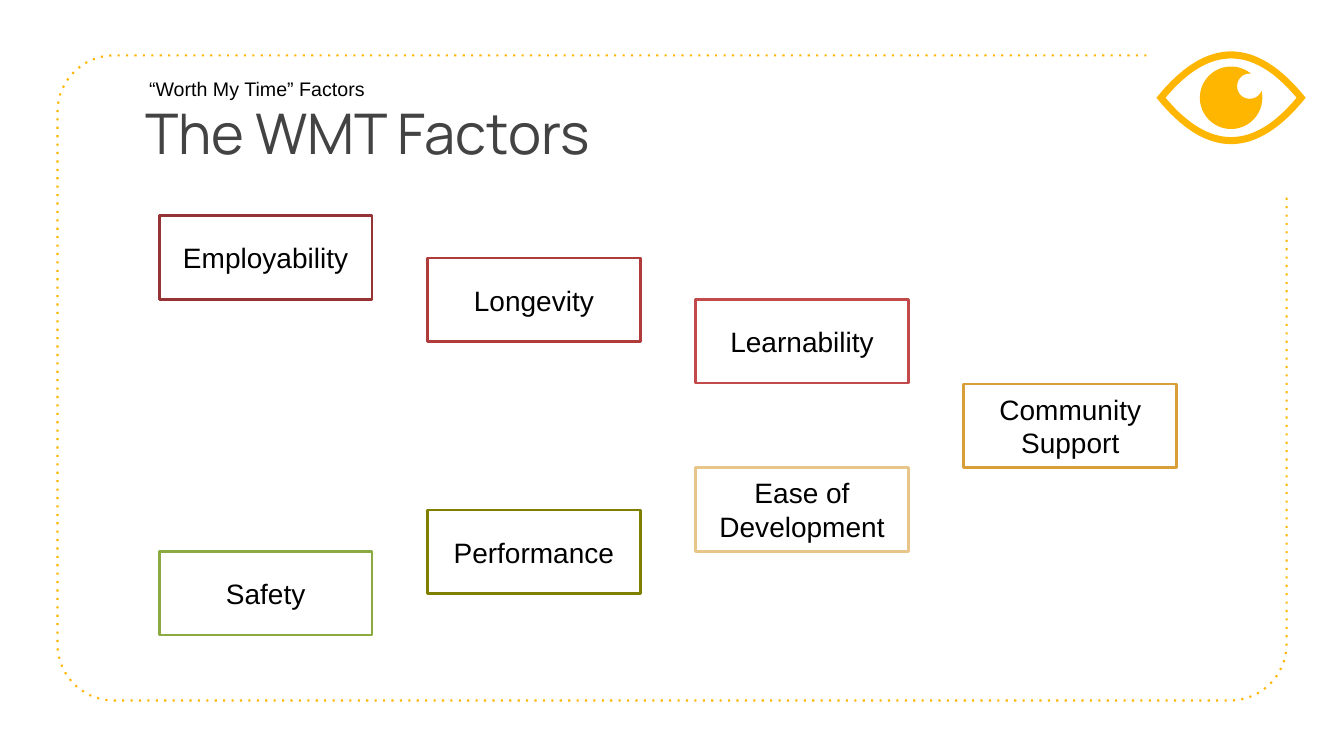
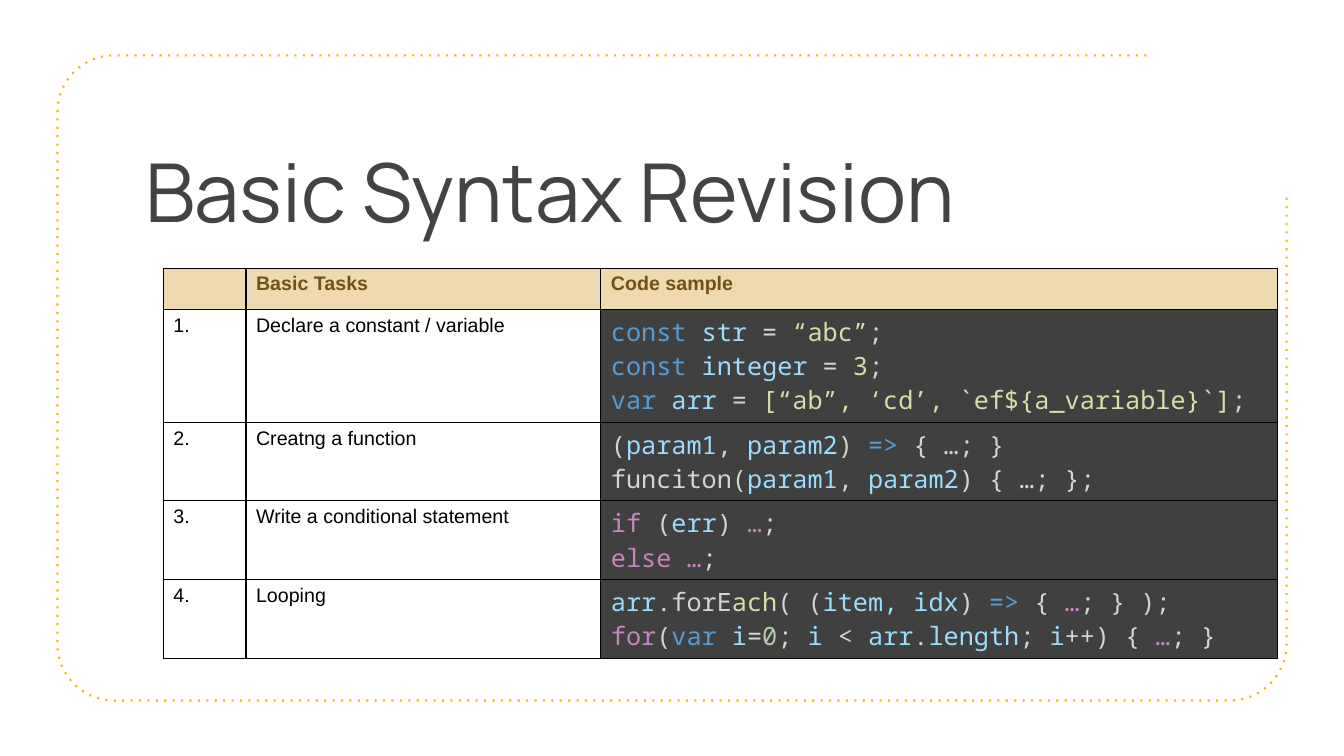
"""Build two slides on learning a language: a map of factors and a syntax table."""
from dataclasses import dataclass
from math import cos, radians, sin

from lxml import etree
from pptx import Presentation
from pptx import util as u
from pptx.dml.color import RGBColor
from pptx.enum import shapes, text
from pptx.oxml.ns import qn


@dataclass(frozen=True)
class Theme:
    amber: str = "FFB600"
    white: str = "FFFFFF"
    ink: str = "000000"
    title: str = "434343"
    head_fill: str = "EFD9B0"
    head_text: str = "725116"
    code_fill: str = "404040"
    keyword: str = "569CD6"
    name: str = "9CDCFE"
    plain: str = "D4D4D4"
    literal: str = "DCDCAA"
    number: str = "B5CEA8"
    flow: str = "C586C0"
    body_font: str = "Arial"
    title_font: str = "Manrope"
    code_font: str = "Noto Sans Mono"
    small: int = 14
    code: int = 18
    label: int = 20


T = Theme()
PX = 9144
rgb = RGBColor.from_string


def write(tf, lines, size=T.small, font=T.body_font, color=T.ink, bold=False, align=None):
    """Fill a text frame with lines, each a list of (text, colour) runs or a plain string."""
    tf.word_wrap = True
    for i, line in enumerate(lines):
        p = tf.paragraphs[0] if i == 0 else tf.add_paragraph()
        p.alignment = align
        for words, shade in [(line, color)] if isinstance(line, str) else line:
            r = p.add_run()
            r.text = words
            r.font.size = u.Pt(size)
            r.font.name = font
            r.font.bold = bold
            r.font.color.rgb = rgb(shade)


def outline(s, contours, close):
    """Add one freeform made of point lists given in px."""
    fb = None
    for contour in contours:
        start, *rest = [(x * PX, y * PX) for x, y in contour]
        if fb is None:
            fb = s.shapes.build_freeform(*start, scale=1.0)
        else:
            fb.move_to(*start)
        fb.add_line_segments(rest, close=close)
    sp = fb.convert_to_shape()
    sp.shadow.inherit = False
    return sp


prs = Presentation()
prs.slide_width, prs.slide_height = 1333 * PX, 750 * PX

left, top, right, bottom, radius = 57, 55, 1276, 695, 56
corners = [
    (left + radius, top + radius, 270),
    (left + radius, bottom - radius, 180),
    (right - radius, bottom - radius, 90),
]
frame = [(1137, top)]
for cx, cy, start in corners:
    for turn in range(0, 91, 6):
        a = radians(start - turn)
        frame.append((cx + radius * cos(a), cy + radius * sin(a)))
frame.append((right, 195))

slides = []
for words, size, box in [
    ("The WMT Factors", 40, (134, 88, 1001, 86)),
    ("Basic Syntax Revision", 58, (134, 130, 1001, 125)),
]:
    s = prs.slides.add_slide(prs.slide_layouts[6])
    sp = outline(s, [frame], close=False)
    sp.fill.background()
    sp.line.color.rgb = rgb(T.amber)
    sp.line.width = u.Pt(1.5)
    ln = sp.element.spPr.find(qn("a:ln"))
    etree.SubElement(ln, qn("a:prstDash")).set("val", "dot")
    tf = s.shapes.add_textbox(*(v * PX for v in box)).text_frame
    tf.margin_top = tf.margin_bottom = 10 * PX
    write(tf, [words], size=size, font=T.title_font, color=T.title)
    slides.append(s)
factors, syntax = slides

for words, col, step, color in [
    ("Employability", 0, 0, "963334"),
    ("Longevity", 1, 1, "AF3B3B"),
    ("Learnability", 2, 2, "C24A4A"),
    ("Community Support", 3, 4, "D89F39"),
    ("Ease of Development", 2, 6, "E8C588"),
    ("Performance", 1, 7, "808000"),
    ("Safety", 0, 8, "8BAB42"),
]:
    box = (158 + 266 * col, 214 + round(step * 125 / 3), 211, 83)
    sp = factors.shapes.add_shape(shapes.MSO_SHAPE.RECTANGLE, *(v * PX for v in box))
    sp.shadow.inherit = False
    sp.fill.solid()
    sp.fill.fore_color.rgb = rgb(T.white)
    sp.line.color.rgb = rgb(color)
    sp.line.width = u.Pt(2)
    sp.text_frame.vertical_anchor = text.MSO_ANCHOR.MIDDLE
    write(sp.text_frame, [words], size=T.label, align=text.PP_ALIGN.CENTER)

eye_x, eye_y = 1221, 97
lids = []
for half_w, half_h in [(74, 46), (65, 39)]:
    steps = [i / 16 for i in range(-16, 17)]
    upper = [(eye_x + half_w * t, eye_y - half_h * (1 - t * t)) for t in steps]
    lower = [(x, 2 * eye_y - y) for x, y in reversed(upper)]
    lids.append(upper + lower[1:-1])
eye = [outline(factors, lids, close=True)]
for box in [(1190, 66, 62, 62), (1227, 73, 25, 25)]:
    sp = factors.shapes.add_shape(shapes.MSO_SHAPE.OVAL, *(v * PX for v in box))
    sp.shadow.inherit = False
    eye.append(sp)
for sp, color in zip(eye, (T.amber, T.amber, T.white)):
    sp.fill.solid()
    sp.fill.fore_color.rgb = rgb(color)
    sp.line.fill.background()

sp = factors.shapes.add_textbox(*(v * PX for v in (138, 71, 250, 34)))
write(sp.text_frame, ["“Worth My Time” Factors"])

K, N, P, L, F = T.keyword, T.name, T.plain, T.literal, T.flow
tasks = [
    ("Declare a constant / variable", [
        [("const ", K), ("str", N), (" = ", P), ("“abc”", L), (";", P)],
        [("const ", K), ("integer", N), (" = ", P), ("3", L), (";", P)],
        [("var ", K), ("arr", N), (" = ", P), ("[“ab”, ‘cd’, `ef${a_variable}`]", L), (";", P)],
    ]),
    ("Creatng a function", [
        [("(", P), ("param1", N), (", ", P), ("param2", N), (") ", P), ("=>", K), (" { …; }", P)],
        [("funciton(", P), ("param1", N), (", ", P), ("param2", N), (") { …; };", P)],
    ]),
    ("Write a conditional statement", [
        [("if", F), (" (", P), ("err", N), (") ", P), ("…", F), (";", P)],
        [("else …", F), (";", P)],
    ]),
    ("Looping", [
        [("arr", N), (".forE", P), ("ach", L), ("( (", P), ("item, idx", N), (") ", P),
         ("=>", K), (" { ", P), ("…", F), ("; } );", P)],
        [("for", F), ("(", P), ("var ", K), ("i", N), ("=", P), ("0", T.number), ("; ", P),
         ("i", N), (" < ", P), ("arr", N), (".", P), ("length", N), ("; ", P), ("i", N),
         ("++) { ", P), ("…", F), ("; }", P)],
    ]),
]

widths = (82, 352, 671)
heights = [41] + [10 + 34 * len(code) for _, code in tasks]
box = (162, 266, sum(widths), sum(heights))
table = syntax.shapes.add_table(len(heights), len(widths), *(v * PX for v in box)).table
table.first_row = table.horz_banding = False
for col, width in zip(table.columns, widths):
    col.width = width * PX
for row, height in zip(table.rows, heights):
    row.height = height * PX

for c, words in enumerate(("", "Basic Tasks", "Code sample")):
    if words:
        write(table.cell(0, c).text_frame, [words], color=T.head_text, bold=True)
for i, (task, code) in enumerate(tasks, 1):
    write(table.cell(i, 0).text_frame, [f"{i}."])
    write(table.cell(i, 1).text_frame, [task])
    write(table.cell(i, 2).text_frame, code, size=T.code, font=T.code_font)

for r in range(len(heights)):
    for c in range(len(widths)):
        cell = table.cell(r, c)
        tcPr = cell._tc.get_or_add_tcPr()
        for side in ("lnL", "lnR", "lnT", "lnB"):
            ln = etree.SubElement(tcPr, qn(f"a:{side}"), w=str(u.Pt(1)))
            fill = etree.SubElement(ln, qn("a:solidFill"))
            etree.SubElement(fill, qn("a:srgbClr"), val=T.ink)
        if r == 0 or c == 2:
            cell.fill.solid()
            cell.fill.fore_color.rgb = rgb(T.head_fill if r == 0 else T.code_fill)
        else:
            cell.fill.background()

prs.save("out.pptx")
